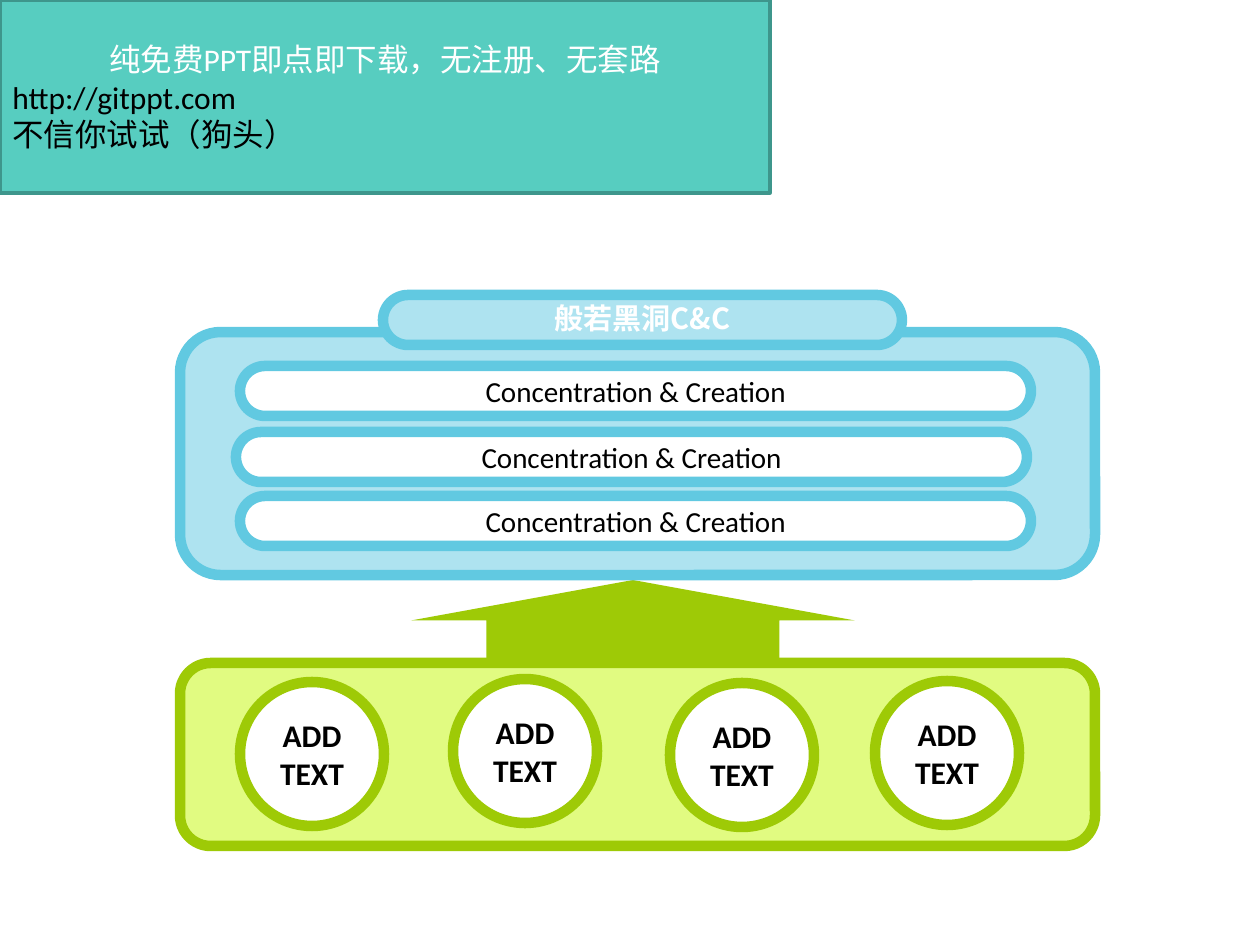
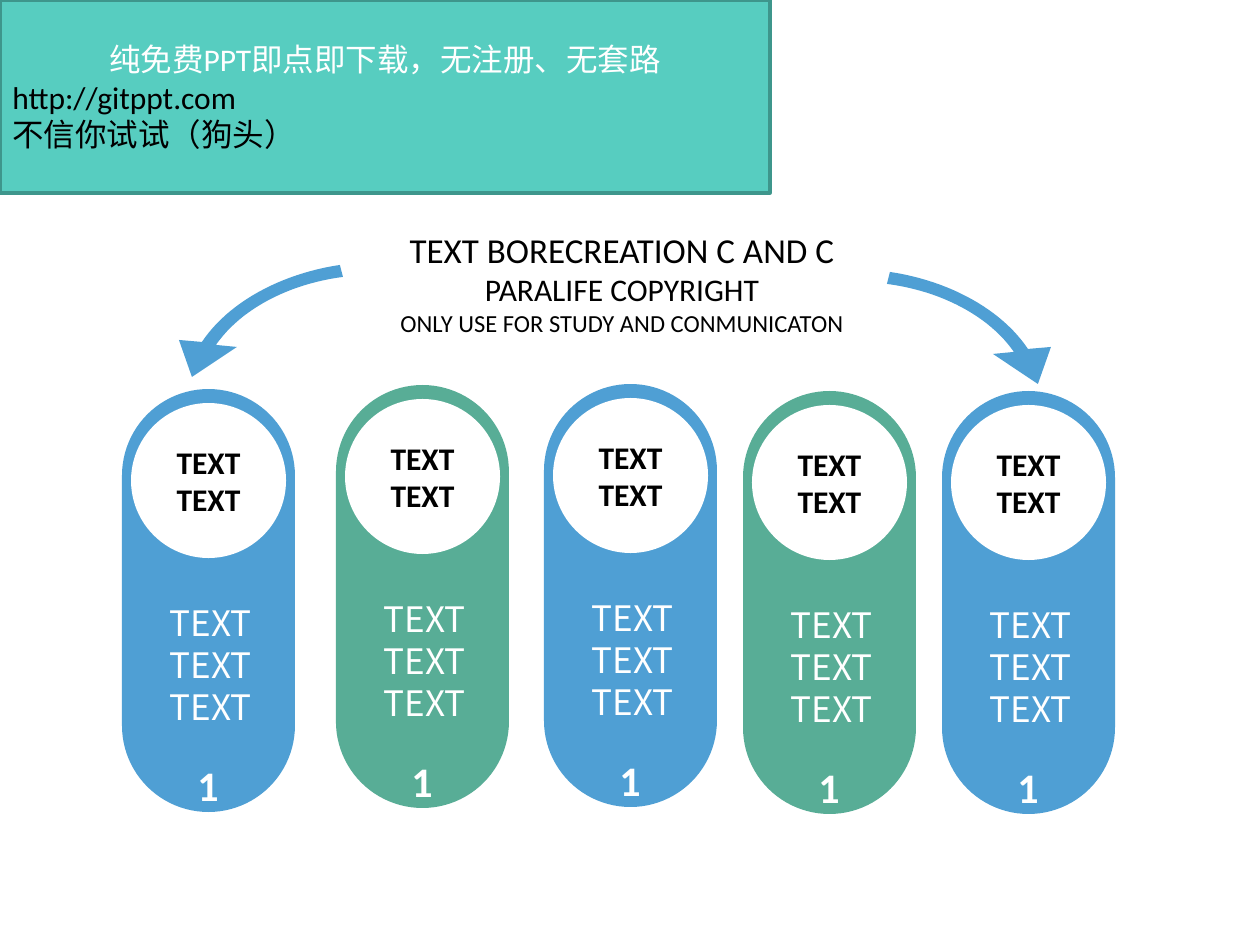
from lxml import etree
from pptx import Presentation
from pptx.dml.color import RGBColor
from pptx.enum.shapes import MSO_SHAPE
from pptx.enum.text import MSO_ANCHOR, PP_ALIGN
from pptx.oxml.ns import qn
from pptx.util import Emu, Pt

RECT, ROUNDED = MSO_SHAPE.RECTANGLE, MSO_SHAPE.ROUNDED_RECTANGLE
ELLIPSE, UP_ARROW = MSO_SHAPE.OVAL, MSO_SHAPE.UP_ARROW
LEFT, CENTER = PP_ALIGN.LEFT, PP_ALIGN.CENTER
MIDDLE, TOP = MSO_ANCHOR.MIDDLE, MSO_ANCHOR.TOP

# Shared scale, colours and text styles
EMU_PER_PX = 914400 / 126
WHITE, BLACK = "FFFFFF", "000000"
BAND, BAND_EDGE = "57CDC0", "3E968C"
LIME, PALE_LIME = "9ECA06", "E1FB81"
SKY, PALE_SKY = "61C9E1", "AEE3F0"
BLUE, GREEN = "4F9FD4", "58AD96"
LATIN, CJK = "Calibri", "Noto Sans CJK SC"

NOTICE = {"name": LATIN, "size": Pt(18)}
BADGE = {"name": LATIN, "size": Pt(18), "bold": True}
BAR = {"name": LATIN, "size": Pt(16.6)}
HEADING = {"name": CJK, "size": Pt(16.6), "bold": True}
BODY = {"name": CJK, "size": Pt(20)}
NUMBER = {"name": LATIN, "size": Pt(24), "bold": True}


def px(length):
    return Emu(round(length * EMU_PER_PX))


def rgb(color):
    return RGBColor.from_string(color)


def write(shape, lines, color, anchor=MIDDLE, spacing=None):
    """Fill a shape with centred paragraphs given as (text, font format) pairs."""
    frame = shape.text_frame
    frame.word_wrap = True
    frame.vertical_anchor = anchor
    for index, (text, font_format) in enumerate(lines):
        paragraph = frame.add_paragraph() if index else frame.paragraphs[0]
        paragraph.alignment = CENTER
        if spacing:
            paragraph.line_spacing = spacing
        run = paragraph.add_run()
        run.text = text
        run.font.color.rgb = rgb(color)
        for attribute, value in font_format.items():
            setattr(run.font, attribute, value)
        if font_format["name"] == CJK:
            east_asian = etree.SubElement(run.font._element, qn("a:ea"))
            east_asian.set("typeface", CJK)


def paint(shape, fill, edge=None, edge_width=6):
    shape.shadow.inherit = False
    shape.fill.solid()
    shape.fill.fore_color.rgb = rgb(fill)
    if edge:
        shape.line.color.rgb = rgb(edge)
        shape.line.width = Pt(edge_width)
    else:
        shape.line.fill.background()


def add_figure(slide, kind, box, fill, edge=None, adjust=(), edge_width=6):
    figure = slide.shapes.add_shape(kind, *map(px, box))
    for index, value in enumerate(adjust):
        figure.adjustments[index] = value
    paint(figure, fill, edge, edge_width)
    return figure


def add_label(slide, box, lines, color, spacing=None):
    label = slide.shapes.add_textbox(*map(px, box))
    write(label, lines, color, TOP, spacing)


def add_band(slide):
    """The notice at the top left: a white first line, then black ones at the left."""
    band = add_figure(slide, RECT, (0, 0, 770, 193), BAND, BAND_EDGE, edge_width=2)
    notice = ("纯免费PPT即点即下载，无注册、无套路", "http://gitppt.com", "不信你试试（狗头）")
    write(band, [(line, NOTICE) for line in notice], WHITE)
    for paragraph in band.text_frame.paragraphs[1:]:
        paragraph.alignment = LEFT
        paragraph.runs[0].font.color.rgb = rgb(BLACK)


def curve(start, control_1, control_2, end, steps=24):
    """Points along a cubic curve."""
    points = []
    for step in range(steps + 1):
        t = step / steps
        weights = ((1 - t) ** 3, 3 * t * (1 - t) ** 2, 3 * t * t * (1 - t), t ** 3)
        knots = (start, control_1, control_2, end)
        points.append(tuple(sum(w * knot[axis] for w, knot in zip(weights, knots))
                            for axis in (0, 1)))
    return points


def add_curved_arrow(slide, points):
    first, *rest = [(px(x), px(y)) for x, y in points]
    builder = slide.shapes.build_freeform(*first, scale=1.0)
    builder.add_line_segments(rest, close=True)
    paint(builder.convert_to_shape(), BLUE)


def add_pill(slide, left, top, color):
    """A column with a round badge, three text lines and a number."""
    add_figure(slide, ROUNDED, (left, top, 173, 423), color, adjust=[0.5])
    badge = add_figure(slide, ELLIPSE, (left + 9, top + 14, 155, 155), WHITE)
    write(badge, [("TEXT", BADGE)] * 2, BLACK)
    add_label(slide, (left + 48, top + 364, 76, 63), [("1", NUMBER)], WHITE)
    add_label(slide, (left + 30, top + 206, 117, 139), [("TEXT", BODY)] * 3,
              WHITE, Pt(24))


def build_layers(slide):
    # Lower panel with its four circles, and the arrow rising from it
    add_figure(slide, ROUNDED, (180, 663, 915, 183), PALE_LIME, LIME, [0.167])
    for left, top in ((240, 682), (453, 679), (670, 683), (875, 681)):
        circle = add_figure(slide, ELLIPSE, (left, top, 144, 144), WHITE, LIME)
        write(circle, [("ADD TEXT", BADGE)], BLACK)
    add_figure(slide, UP_ARROW, (411, 580, 444, 81), LIME, adjust=[0.66, 0.5])

    # Upper panel with its three bars and heading
    add_figure(slide, ROUNDED, (180, 332, 915, 243), PALE_SKY, SKY, [0.167])
    for left, top in ((240, 366), (236, 432), (240, 496)):
        bar = add_figure(slide, ROUNDED, (left, top, 791, 50), WHITE, SKY, [0.5])
        write(bar, [("Concentration & Creation", BAR)], BLACK)
    heading = add_figure(slide, ROUNDED, (383, 295, 519, 50), PALE_SKY, SKY, [0.5])
    write(heading, [("般若黑洞C&C", HEADING)], WHITE, spacing=0.9)


def build_columns(slide):
    # Five columns in alternating colours
    places = ((122, 389), (336, 385), (544, 384), (743, 391), (942, 391))
    for index, (left, top) in enumerate(places):
        add_pill(slide, left, top, GREEN if index % 2 else BLUE)

    # Curved arrows: the left one mirrors the right one
    right_arrow = (curve((890, 272), (950, 281), (1002, 310), (1028, 349))
                   + [(1051, 347), (1038, 384), (993, 354)]
                   + curve((1014, 352), (989, 316), (941, 291), (887, 284)))
    add_curved_arrow(slide, right_arrow)
    add_curved_arrow(slide, [(1230 - x, y - 7) for x, y in right_arrow])

    # Caption between the arrows
    caption = (("TEXT BORECREATION C AND C", 20), ("PARALIFE COPYRIGHT", 18),
               ("ONLY USE FOR STUDY AND CONMUNICATON", 14))
    add_label(slide, (366, 222, 512, 122),
              [(text, {"name": LATIN, "size": Pt(size)}) for text, size in caption],
              BLACK)


def main():
    deck = Presentation()
    deck.slide_width, deck.slide_height = px(1260), px(945)
    for build in (build_layers, build_columns):
        slide = deck.slides.add_slide(deck.slide_layouts[6])
        build(slide)
        add_band(slide)
    deck.save("out.pptx")


if __name__ == "__main__":
    main()
